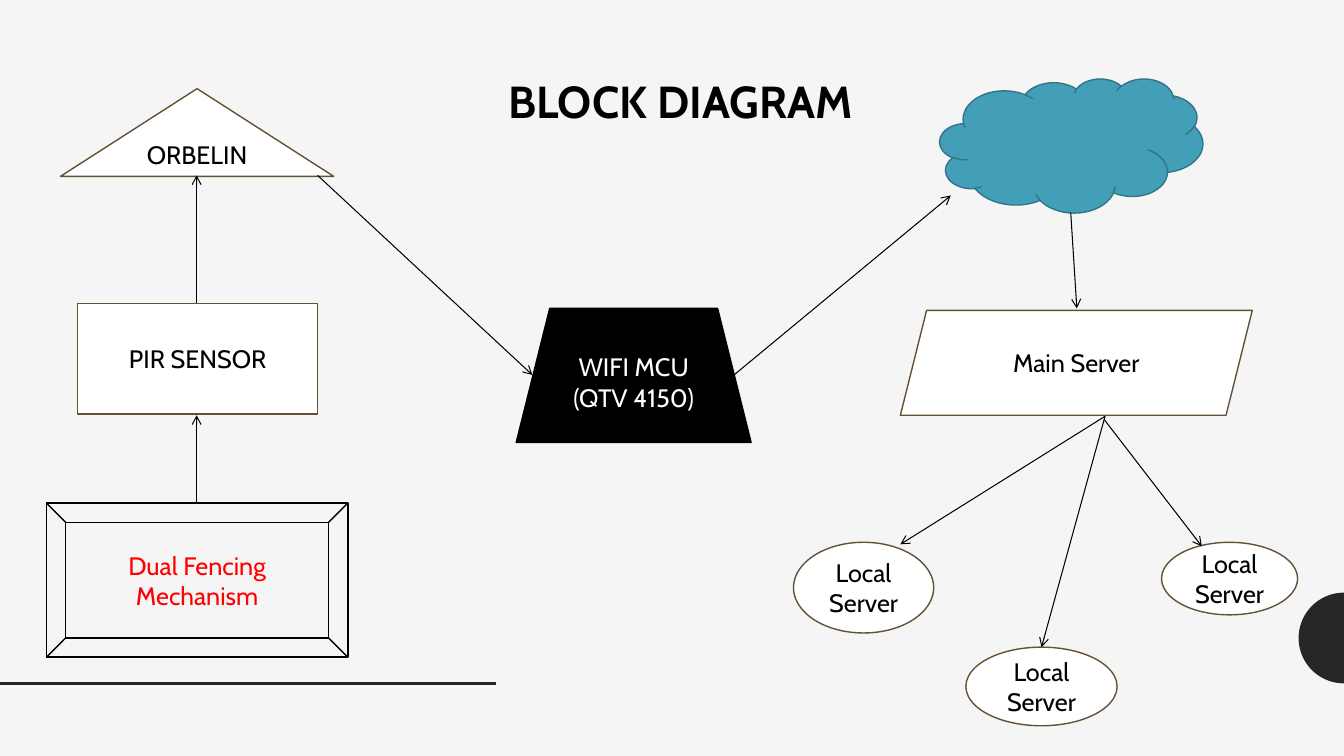
"""Build the block diagram slide of the fencing system."""
import math
from pptx import Presentation, util as u
from pptx.dml.color import RGBColor
from pptx.enum import shapes, text
from pptx.oxml.ns import qn
from lxml import etree

FONT = "Cabin"
BLACK, WHITE, DARK, BROWN = "000000", "FFFFFF", "262626", "645135"
KIND = shapes.MSO_SHAPE

BLOCKS = [
    (KIND.RECTANGLE, (0.77, 3.01, 2.38, 1.1), "PIR SENSOR", WHITE, BROWN, BLACK),
    (KIND.ISOSCELES_TRIANGLE, (0.6, 0.88, 2.71, 0.87), "ORBELIN", WHITE, BROWN, BLACK),
    (KIND.TRAPEZOID, (5.12, 3.06, 2.33, 1.33), "WIFI MCU\n(QTV 4150)", BLACK, BLACK, WHITE),
    (KIND.CLOUD, (9.32, 0.78, 2.61, 1.33), "", "439EB7", "327587", WHITE),
    (KIND.PARALLELOGRAM, (8.93, 3.08, 3.49, 1.04), "Main Server", WHITE, BROWN, BLACK),
    (KIND.BEVEL, (0.46, 4.99, 2.99, 1.53), "Dual Fencing Mechanism", None, BLACK, "FF0000"),
]
LOCALS = [(7.87, 5.38, 1.39, 0.9), (9.58, 6.42, 1.5, 0.78), (11.52, 5.38, 1.35, 0.72)]
BLOCKS += [(KIND.OVAL, box, "Local Server", WHITE, BROWN, BLACK) for box in LOCALS]

ARROWS = [
    (1.95, 4.99, 1.95, 4.12),
    (1.95, 3.01, 1.95, 1.74),
    (3.15, 1.74, 5.28, 3.72),
    (7.28, 3.72, 9.43, 1.94),
    (10.62, 2.11, 10.68, 3.06),
    (10.96, 4.13, 8.93, 5.4),
    (10.96, 4.13, 10.33, 6.42),
    (10.95, 4.16, 11.92, 5.42),
]


def color(code):
    return RGBColor.from_string(code)


def paint(fill, code):
    if code:
        fill.solid()
        fill.fore_color.rgb = color(code)
    else:
        fill.background()


def write(frame, words, size, code, align, bold=False):
    frame.text = words
    for para in frame.paragraphs:
        para.alignment = align
        for run in para.runs:
            font = run.font
            font.name, font.size, font.bold = FONT, u.Pt(size), bold
            font.color.rgb = color(code)


def block(kind, box, words, fill, edge, ink):
    shape = slide.shapes.add_shape(kind, *map(u.Inches, box))
    shape.shadow.inherit = False
    paint(shape.fill, fill)
    shape.line.color.rgb = color(edge)
    shape.line.width = u.Pt(1)
    if words:
        shape.text_frame.vertical_anchor = text.MSO_ANCHOR.MIDDLE
        write(shape.text_frame, words, 18, ink, text.PP_ALIGN.CENTER)


def line(ends, code, width, arrow=False):
    link = slide.shapes.add_connector(shapes.MSO_CONNECTOR.STRAIGHT, *map(u.Inches, ends))
    link.line.color.rgb = color(code)
    link.line.width = u.Pt(width)
    if arrow:
        edge = link._element.spPr.find(qn("a:ln"))
        etree.SubElement(edge, qn("a:tailEnd"), type="arrow")
    etree.SubElement(link._element.spPr, qn("a:effectLst"))


def half_disc(x, y, radius, steps=48):
    turns = [math.pi * (0.5 + i / steps) for i in range(steps + 1)]
    dots = [(u.Inches(x + radius * math.cos(t)), u.Inches(y + radius * math.sin(t))) for t in turns]
    form = slide.shapes.build_freeform(*dots[0])
    form.add_line_segments(dots[1:], close=True)
    disc = form.convert_to_shape()
    disc.shadow.inherit = False
    paint(disc.fill, DARK)
    disc.line.fill.background()


deck = Presentation()
deck.slide_width, deck.slide_height = u.Inches(13.33), u.Inches(7.5)
slide = deck.slides.add_slide(deck.slide_layouts[6])
paint(slide.background.fill, "F5F5F5")

half_disc(13.33, 6.33, 0.45)
line((0, 6.78, 4.92, 6.78), DARK, 2)
for item in BLOCKS:
    block(*item)
for ends in ARROWS:
    line(ends, BLACK, 0.75, arrow=True)

title = slide.shapes.add_textbox(*map(u.Inches, (4.94, 0.68, 3.65, 0.64)))
title.text_frame.word_wrap = False
write(title.text_frame, "BLOCK DIAGRAM", 32, BLACK, text.PP_ALIGN.LEFT, bold=True)

deck.save("out.pptx")
